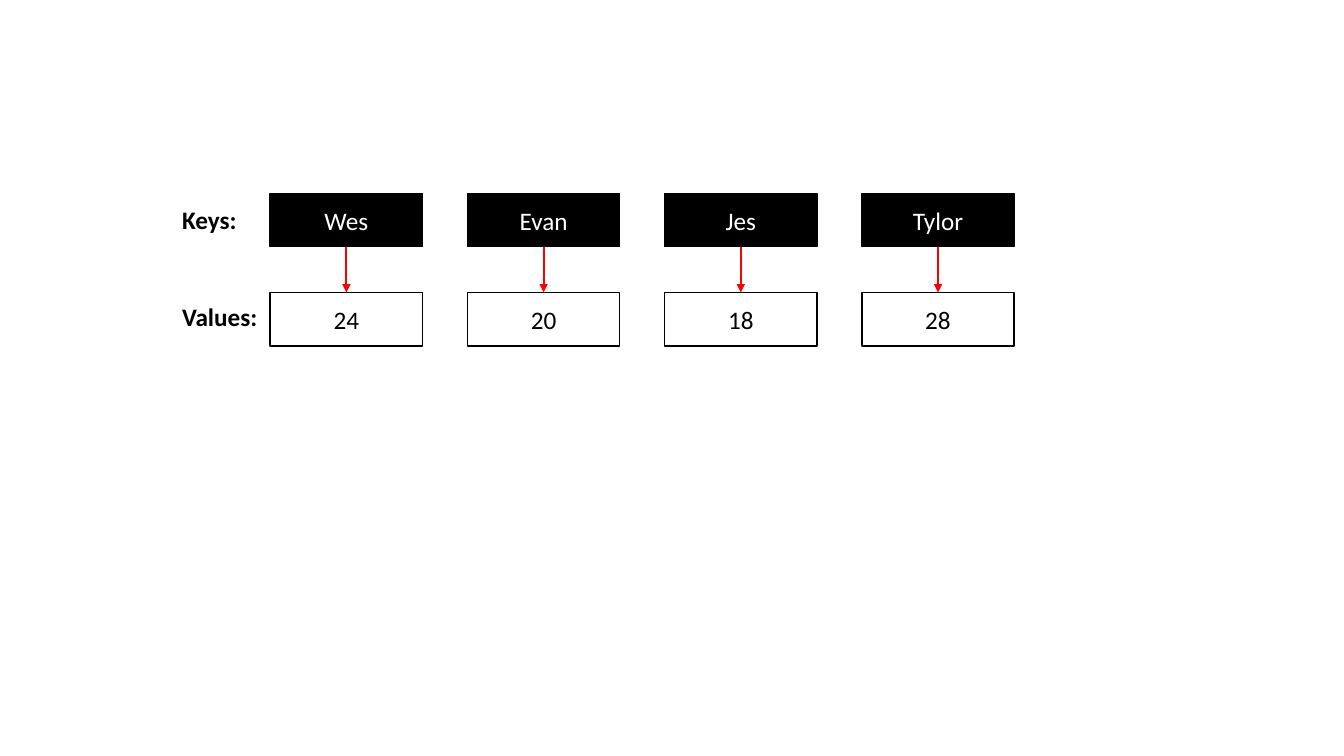
"""Build a slide that maps dictionary keys to their values."""
from lxml.etree import SubElement
from pptx import Presentation
from pptx.dml.color import RGBColor
from pptx.enum.shapes import MSO_CONNECTOR, MSO_SHAPE
from pptx.enum.text import MSO_ANCHOR, MSO_AUTO_SIZE, PP_ALIGN
from pptx.oxml.ns import qn
from pptx.util import Cm, Pt

BLACK, WHITE, RED = "000000", "FFFFFF", "FF0000"
AGES = {"Wes": "24", "Evan": "20", "Jes": "18", "Tylor": "28"}
CELL_WIDTH, CELL_HEIGHT = 3.84, 1.35
COLUMN_STEP, ROW_STEP = 4.97, 2.5
LABEL_WIDTH = 2.47


def color(hex_code):
    """Return the colour for a hex string."""
    return RGBColor.from_string(hex_code)


def write(holder, words, ink, bold=False):
    """Put one styled line of text into a shape."""
    holder.text_frame.text = words
    font = holder.text_frame.paragraphs[0].runs[0].font
    font.name, font.size, font.bold = "Calibri", Pt(18), bold
    font.color.rgb = color(ink)


def add_cell(slide, left, top, words, fill, ink):
    """Draw one key or value cell."""
    cell = slide.shapes.add_shape(
        MSO_SHAPE.RECTANGLE, Cm(left), Cm(top), Cm(CELL_WIDTH), Cm(CELL_HEIGHT))
    cell.shadow.inherit = False
    cell.fill.solid()
    cell.fill.fore_color.rgb = color(fill)
    cell.line.color.rgb = color(BLACK)
    cell.line.width = Pt(1)
    write(cell, words, ink)
    cell.text_frame.vertical_anchor = MSO_ANCHOR.MIDDLE
    cell.text_frame.paragraphs[0].alignment = PP_ALIGN.CENTER


def add_arrow(slide, x, top, bottom):
    """Draw a red arrow from a key down to its value."""
    arrow = slide.shapes.add_connector(
        MSO_CONNECTOR.STRAIGHT, Cm(x), Cm(top), Cm(x), Cm(bottom))
    arrow.line.color.rgb = color(RED)
    arrow.line.width = Pt(1.5)
    SubElement(arrow.line._get_or_add_ln(), qn("a:tailEnd"), type="triangle")
    SubElement(arrow._element.spPr, qn("a:effectLst"))


def add_label(slide, left, top, width, words):
    """Draw a bold row label."""
    label = slide.shapes.add_textbox(Cm(left), Cm(top), Cm(width), Cm(1.03))
    label.text_frame.word_wrap = False
    label.text_frame.auto_size = MSO_AUTO_SIZE.SHAPE_TO_FIT_TEXT
    write(label, words, BLACK, bold=True)


def add_mapping(slide, left, top, ages):
    """Draw the labelled keys, their values and the arrows between them."""
    values_top = top + ROW_STEP
    add_label(slide, left, top + 0.16, 1.9, "Keys:")
    add_label(slide, left, values_top + 0.1, 2.4, "Values:")
    for column, (key, value) in enumerate(ages.items()):
        cell_left = left + LABEL_WIDTH + column * COLUMN_STEP
        add_cell(slide, cell_left, top, key, BLACK, WHITE)
        add_cell(slide, cell_left, values_top, value, WHITE, BLACK)
        add_arrow(slide, cell_left + CELL_WIDTH / 2, top + CELL_HEIGHT, values_top)


def main():
    """Create and save the presentation."""
    deck = Presentation()
    deck.slide_width, deck.slide_height = Cm(33.87), Cm(19.05)
    slide = deck.slides.add_slide(deck.slide_layouts[6])
    add_mapping(slide, 4.34, 4.87, AGES)
    deck.save("out.pptx")


main()
